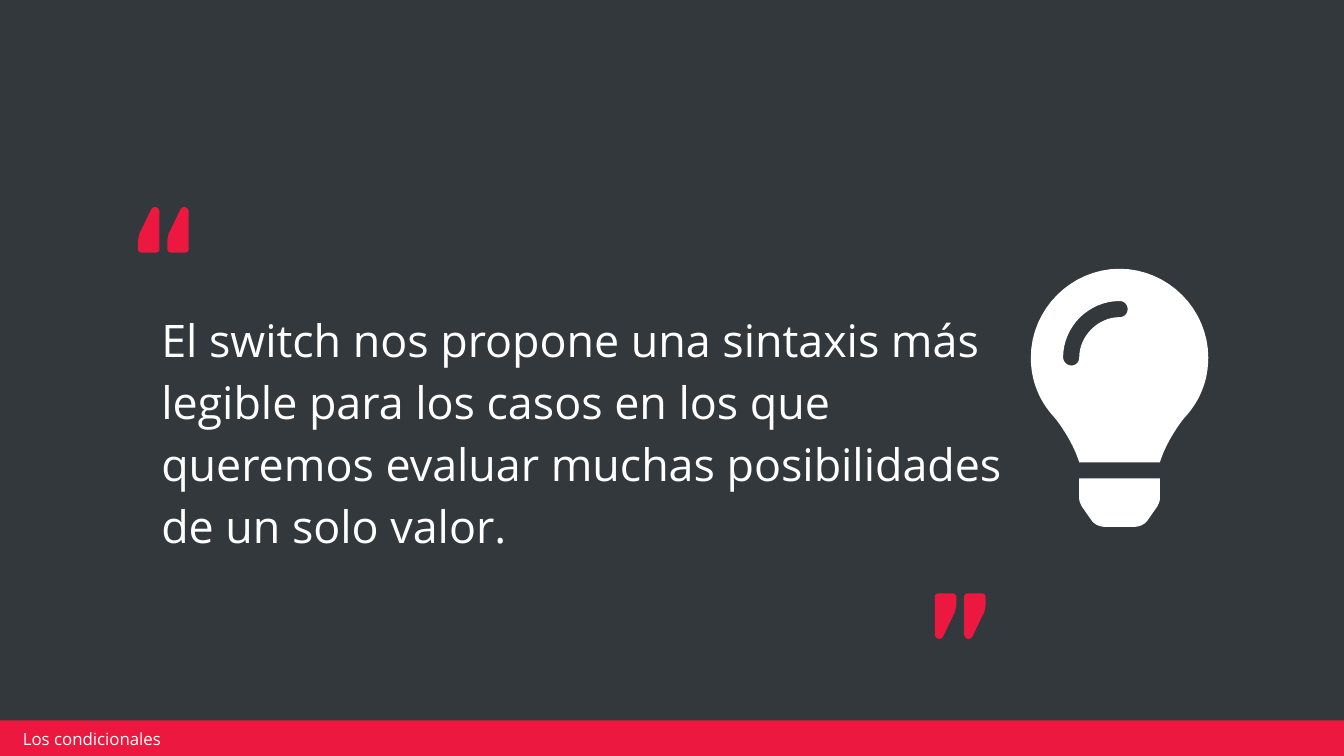
from pptx import Presentation
from pptx import util as u
from pptx.dml.color import RGBColor
from pptx.enum import shapes, text

COLORS = {"slate": "33383C", "red": "EC183F", "white": "FFFFFF"}
FONT = "Open Sans"
CELL = u.Inches(0.1)  # square grid: 100 columns across the slide

# Outlines in grid cells; two numbers are a line, six a Bézier curve.
MARK = [(1.3, 0), (1.1, 0.05), (1, 0.15), (0.3, 1.6), (0.1, 2), (0, 2.5), (0, 3.2),
        (0.1, 3.35), (0.3, 3.4), (1.3, 3.4), (1.5, 3.35), (1.6, 3.2), (1.6, 0.3), (1.5, 0.1)]
HALF_GLASS = [(0, 0), (-3.6, 0, -6.6, 3, -6.6, 6.6), (-6.6, 8.3, -6, 9.8, -4.9, 11),
              (-4.3, 11.7, -3.4, 13.1, -3, 14.4)]
HALF_BASE = [(0, 19.2), (-1.1, 19.2), (-1.5, 19.2, -1.9, 19, -2.1, 18.7), (-2.8, 17.7),
             (-2.9, 17.5, -3, 17.3, -3, 17.1), (-3, 15.6)]
GLINT = [(0, 3.6), (-1.6, 3.6, -3, 5, -3, 6.6), (-3, 6.9, -3.2, 7.2, -3.6, 7.2),
         (-3.9, 7.2, -4.2, 6.9, -4.2, 6.6), (-4.2, 4.3, -2.3, 2.4, 0, 2.4),
         (0.4, 2.4, 0.6, 2.7, 0.6, 3), (0.6, 3.3, 0.4, 3.6, 0, 3.6)]


def cells(*values):
    return [u.Emu(round(value * CELL)) for value in values]


def rgb(name):
    return RGBColor.from_string(COLORS[name])


def flatten(outline, steps=16):
    """Turn lines and Bézier curves into a list of points."""
    points = [outline[0]]
    for segment in outline[1:]:
        if len(segment) == 2:
            points.append(segment)
            continue
        start, first, second, end = points[-1], segment[:2], segment[2:4], segment[4:]
        for step in range(1, steps + 1):
            t = step / steps
            weights = ((1 - t) ** 3, 3 * t * (1 - t) ** 2, 3 * t * t * (1 - t), t ** 3)
            points.append(tuple(sum(w * p[axis] for w, p in zip(weights, (start, first, second, end)))
                                for axis in (0, 1)))
    return points


def mirrored(half):
    """Close a left half by reflecting it in the vertical axis."""
    points = flatten(half)
    return points + [(-x, y) for x, y in reversed(points)]


def placed(points, left, top, sign=1):
    return [(left + sign * x, top + sign * y) for x, y in points]


def write(box, wording, size, color="white", spacing=None, before=0, insets=(1, 0.5)):
    frame = box.text_frame
    frame.word_wrap = True
    frame.auto_size = text.MSO_AUTO_SIZE.NONE
    frame.vertical_anchor = text.MSO_ANCHOR.MIDDLE
    frame.margin_left = frame.margin_right = cells(insets[0])[0]
    frame.margin_top = frame.margin_bottom = cells(insets[1])[0]
    para = frame.paragraphs[0]
    para.alignment = text.PP_ALIGN.LEFT
    para.line_spacing = spacing
    para.space_before = u.Pt(before)
    span = para.add_run()
    span.text = wording
    span.font.name = FONT
    span.font.size = u.Pt(size)
    span.font.color.rgb = rgb(color)


class QuoteSlide:
    def __init__(self, deck):
        self.page = deck.slides.add_slide(deck.slide_layouts[5])
        self.page.background.fill.solid()
        self.page.background.fill.fore_color.rgb = rgb("slate")

    def paint(self, shape, color):
        shape.shadow.inherit = False
        shape.fill.solid()
        shape.fill.fore_color.rgb = rgb(color)
        shape.line.fill.background()

    def title(self, wording, left, top, width, height, **style):
        box = self.page.shapes.title
        box.left, box.top, box.width, box.height = cells(left, top, width, height)
        write(box, wording, **style)

    def label(self, wording, left, top, width, height, **style):
        box = self.page.shapes.add_textbox(*cells(left, top, width, height))
        write(box, wording, **style)

    def bar(self, left, top, width, height, color):
        self.paint(self.page.shapes.add_shape(
            shapes.MSO_SHAPE.RECTANGLE, *cells(left, top, width, height)), color)

    def outline(self, contours, color):
        builder = None
        for contour in contours:
            start, *rest = [cells(*point) for point in contour]
            if builder is None:
                builder = self.page.shapes.build_freeform(*start)
            else:
                builder.move_to(*start)
            builder.add_line_segments(rest, close=True)
        self.paint(builder.convert_to_shape(), color)

    def quote_marks(self, left, top, sign):
        """Draw a pair of marks; sign -1 turns it half round for the closing pair."""
        for gap in (0, 2.18):
            self.outline([placed(MARK, left + sign * gap, top, sign)], "red")

    def bulb(self, axis, top):
        parts = (mirrored(HALF_BASE), mirrored(HALF_GLASS), flatten(GLINT))
        self.outline([placed(part, axis, top) for part in parts], "white")


def main():
    deck = Presentation()
    deck.slide_width = u.Inches(10)
    deck.slide_height = deck.slide_width * 9 // 16
    slide = QuoteSlide(deck)
    slide.title("El switch nos propone una sintaxis más legible para los casos en los que "
                "queremos evaluar muchas posibilidades de un solo valor.",
                11, 20.8, 64.9, 22.2, size=24, spacing=1.15, before=6)
    slide.bulb(83.3, 20)
    slide.quote_marks(10.27, 15.4, 1)
    slide.quote_marks(73.34, 47.55, -1)
    slide.bar(-0.2, 53.6, 100.3, 2.7, "red")
    slide.label("Los condicionales", 1.2, 54.2, 23.9, 1.5, size=9, insets=(0.5, 0.2))
    deck.save("out.pptx")


if __name__ == "__main__":
    main()
